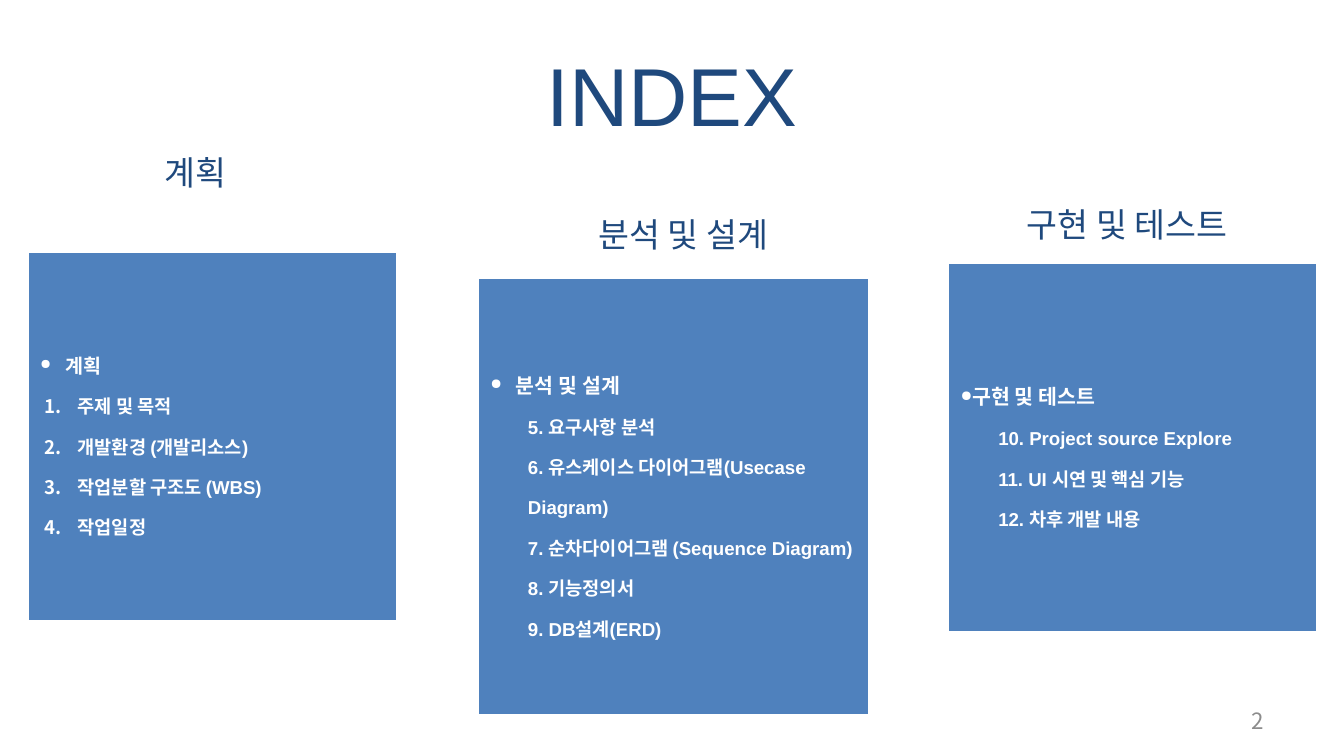
"""Build the INDEX slide with three headed agenda panels."""
from dataclasses import dataclass

from lxml import etree
from pptx import Presentation
from pptx.dml.color import RGBColor
from pptx.enum import shapes, text
from pptx.oxml import ns
from pptx.util import Inches, Pt

NAVY = RGBColor(0x1F, 0x49, 0x7D)
BLUE = RGBColor(0x4F, 0x81, 0xBD)
WHITE = RGBColor(0xFF, 0xFF, 0xFF)
GRAY = RGBColor(0x8C, 0x8C, 0x8C)
LATIN = "Arial"
KOREAN = "Noto Sans CJK KR"
ITEM_MARGIN = 0.28
SLIDE_WIDTH = Inches(10)
SLIDE_HEIGHT = SLIDE_WIDTH * 9 // 16


@dataclass(frozen=True)
class Panel:
    heading: str
    heading_at: tuple[float, float]
    box: tuple[float, float, float, float]
    items: tuple[str, ...]
    lead_size: float = 11
    lead_margin: float = 0.19
    numbered: bool = False


PANELS = (
    Panel("구현 및 테스트", (7.36, 1.47), (7.05, 1.95, 2.76, 2.76),
          ("10. Project source Explore", "11. UI 시연 및 핵심 기능", "12. 차후 개발 내용"),
          lead_margin=0),
    Panel("분석 및 설계", (4.06, 1.54), (3.55, 2.06, 2.92, 3.27),
          ("5. 요구사항 분석", "6. 유스케이스 다이어그램(Usecase Diagram)",
           "7. 순차다이어그램 (Sequence Diagram)", "8. 기능정의서", "9. DB설계(ERD)")),
    Panel("계획", (0.43, 1.08), (0.2, 1.87, 2.76, 2.76),
          ("주제 및 목적", "개발환경 (개발리소스)", "작업분할 구조도 (WBS)", "작업일정"),
          lead_size=10.5, numbered=True),
)


def format_runs(p, size: float, color: RGBColor, font: str, bold: bool = False) -> None:
    """Apply one character format to every run of a paragraph."""
    for r in p.runs:
        r.font.size = Pt(size)
        r.font.bold = bold
        r.font.name = font
        r.font.color.rgb = color
        ea = etree.SubElement(r._r.get_or_add_rPr(), ns.qn("a:ea"))
        ea.set("typeface", KOREAN)


def set_bullet(p, tag: str, name: str, value: str) -> None:
    """Add one bullet property to a paragraph."""
    etree.SubElement(p._p.get_or_add_pPr(), ns.qn(tag)).set(name, value)


def set_indent(p, margin: float, indent: float) -> None:
    """Set the left margin and first-line indent of a paragraph."""
    pPr = p._p.get_or_add_pPr()
    pPr.set("marL", str(Inches(margin)))
    pPr.set("indent", str(Inches(indent)))


def add_label(s, at: tuple[float, float, float, float], label: str, size: float,
              color: RGBColor, align: text.PP_ALIGN):
    """Add a one-line text box and return its text frame."""
    tf = s.shapes.add_textbox(*map(Inches, at)).text_frame
    tf.word_wrap = True
    tf.text = label
    p = tf.paragraphs[0]
    p.alignment = align
    format_runs(p, size, color, KOREAN)
    return tf


def add_heading(s, panel: Panel) -> None:
    """Write the heading above a panel."""
    tf = add_label(s, (*panel.heading_at, 2.05, 0.4), panel.heading, 18, NAVY,
                   text.PP_ALIGN.CENTER)
    tf.auto_size = text.MSO_AUTO_SIZE.SHAPE_TO_FIT_TEXT


def add_panel(s, panel: Panel) -> None:
    """Draw the filled rectangle listing the items of a panel."""
    sp = s.shapes.add_shape(shapes.MSO_SHAPE.RECTANGLE, *map(Inches, panel.box))
    sp.shadow.inherit = False
    sp.fill.solid()
    sp.fill.fore_color.rgb = BLUE
    sp.line.color.rgb = WHITE
    sp.line.width = Pt(2)
    tf = sp.text_frame
    tf.word_wrap = True
    tf.vertical_anchor = text.MSO_ANCHOR.MIDDLE
    tf.text = "\n".join((panel.heading, *panel.items))
    for i, p in enumerate(tf.paragraphs):
        p.alignment = text.PP_ALIGN.LEFT
        p.line_spacing = 1.8
        format_runs(p, 10 if i else panel.lead_size, WHITE, LATIN, bold=True)
        if i == 0:
            set_indent(p, panel.lead_margin, -panel.lead_margin)
            set_bullet(p, "a:buSzPct", "val", "72000")
            set_bullet(p, "a:buChar", "char", "●")
            continue
        p.level = 1
        set_indent(p, ITEM_MARGIN, -0.25 if panel.numbered else 0)
        if panel.numbered:
            set_bullet(p, "a:buAutoNum", "type", "arabicPeriod")


def main() -> None:
    """Create and save the presentation."""
    prs = Presentation()
    prs.slide_width, prs.slide_height = SLIDE_WIDTH, SLIDE_HEIGHT
    s = prs.slides.add_slide(prs.slide_layouts[5])

    title = s.shapes.title
    title.left, title.top, title.width, title.height = map(Inches, (0.5, 0.23, 9, 0.94))
    tf = title.text_frame
    tf.text = "INDEX"
    tf.vertical_anchor = text.MSO_ANCHOR.MIDDLE
    tf.paragraphs[0].alignment = text.PP_ALIGN.CENTER
    format_runs(tf.paragraphs[0], 44, NAVY, LATIN)

    tf = add_label(s, (7.17, 5.21, 2.33, 0.3), "2", 12, GRAY, text.PP_ALIGN.RIGHT)
    tf.vertical_anchor = text.MSO_ANCHOR.MIDDLE
    for panel in PANELS:
        add_heading(s, panel)
    for panel in reversed(PANELS):
        add_panel(s, panel)
    prs.save("out.pptx")


if __name__ == "__main__":
    main()
